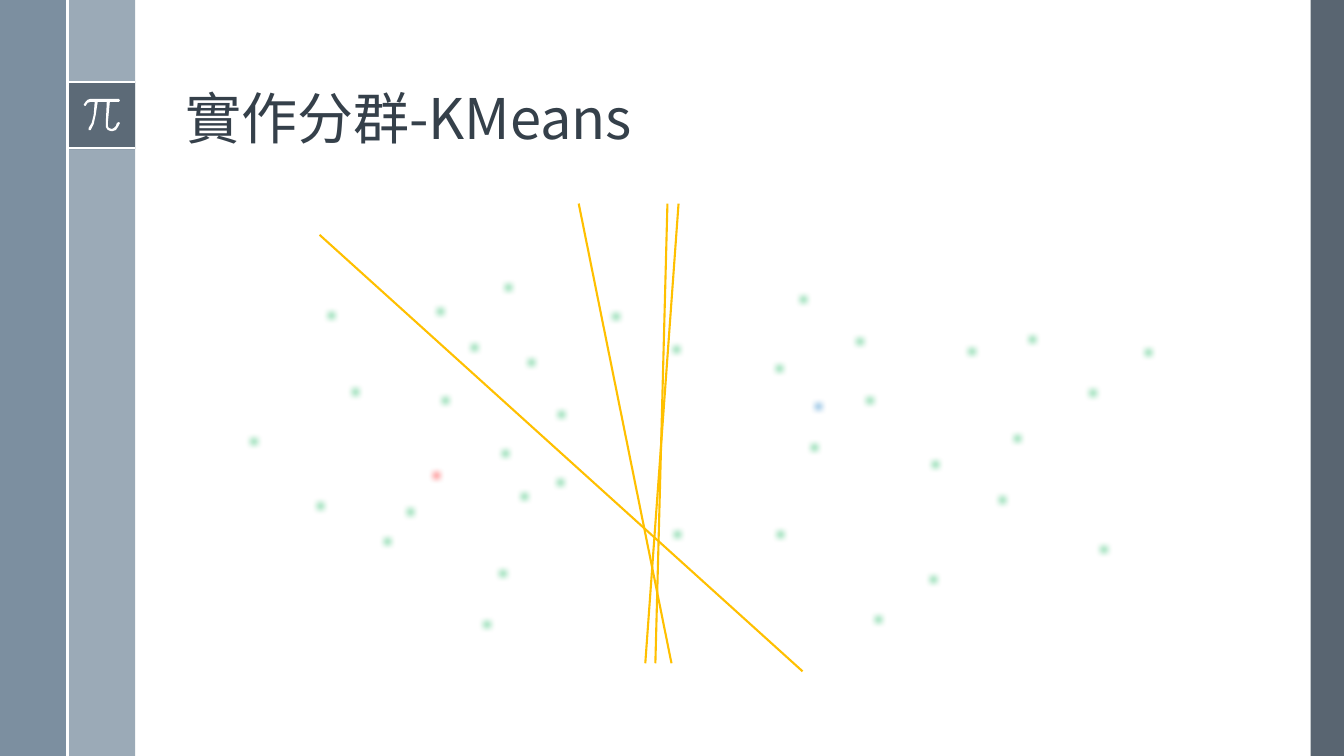
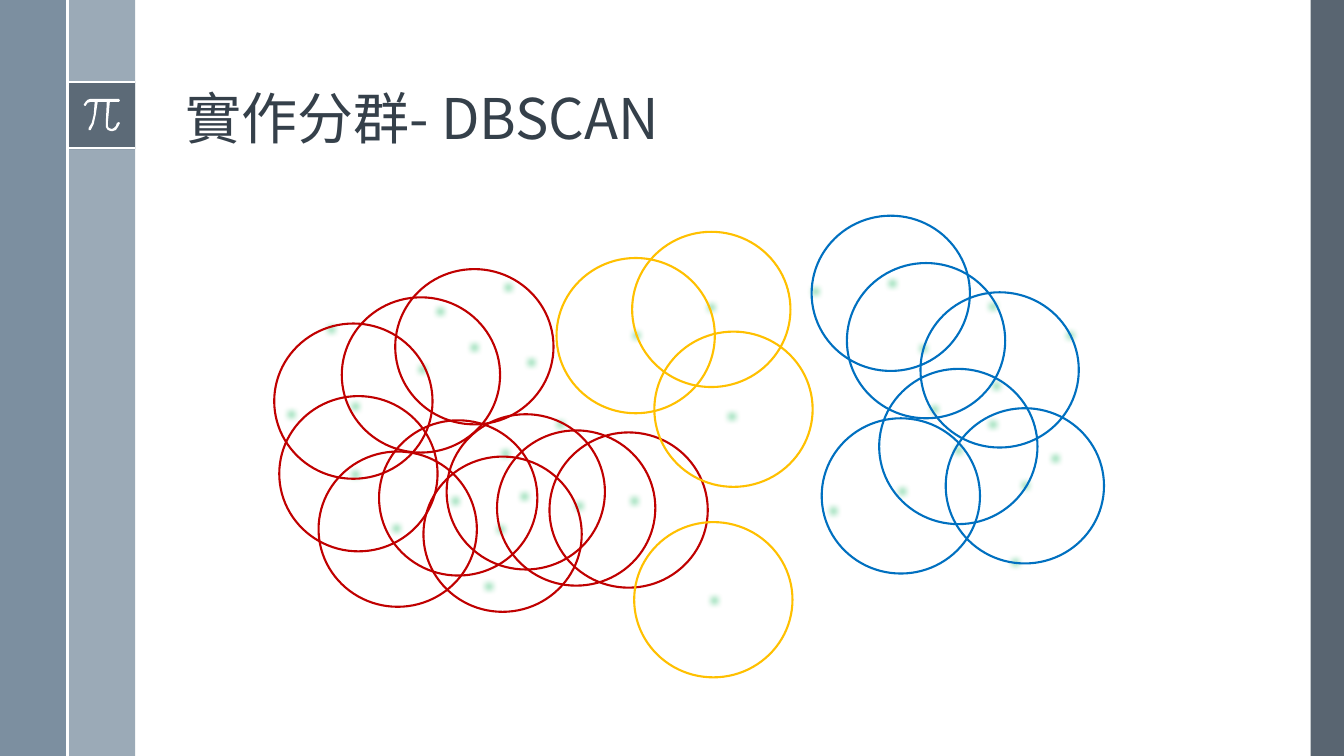
from lxml import etree
from pptx import Presentation, util as u
from pptx.dml.color import RGBColor
from pptx.enum import shapes, text
from pptx.oxml.ns import qn

SLATE = RGBColor(0x47, 0x55, 0x62)
STEEL = RGBColor(0x6A, 0x80, 0x93)
MIST = RGBColor(0x9B, 0xAA, 0xB7)
INK = RGBColor(0x35, 0x40, 0x4A)
WHITE = RGBColor(0xFF, 0xFF, 0xFF)
GREEN = RGBColor(0x00, 0xB0, 0x50)
RED = RGBColor(0xFF, 0x00, 0x00)
DARK_RED = RGBColor(0xC0, 0x00, 0x00)
BLUE = RGBColor(0x00, 0x70, 0xC0)
AMBER = RGBColor(0xFF, 0xC0, 0x00)

PI_OUTLINE = [
    (1.18, 0.98), (0.9, 0.98), (0.87, 0.99), (0.85, 1.01), (0.83, 1.04),
    (0.84, 1.05), (0.85, 1.05), (0.87, 1.02), (0.9, 1.01), (0.94, 1.01),
    (0.93, 1.14), (0.91, 1.22), (0.88, 1.27), (0.88, 1.29), (0.9, 1.29),
    (0.93, 1.23), (0.95, 1.14), (0.97, 1.01), (1.06, 1.01), (1.05, 1.22),
    (1.05, 1.26), (1.07, 1.29), (1.1, 1.3), (1.12, 1.3), (1.15, 1.29),
    (1.17, 1.26), (1.19, 1.22), (1.18, 1.21), (1.16, 1.22), (1.15, 1.25),
    (1.13, 1.27), (1.11, 1.28), (1.08, 1.27), (1.07, 1.25), (1.07, 1.22),
    (1.09, 1.01), (1.18, 1.01), (1.19, 1)]


class Deck:
    font = "Noto Sans CJK TC"
    title_size = u.Pt(40)
    line_width = u.Pt(1.5)
    dot_size = 0.24
    soft_edge = u.Pt(5)
    ring_width, ring_height = 1.57, 1.54
    band = 0.67

    def __init__(self):
        self.prs = Presentation()
        self.prs.slide_width = u.Inches(13.33)
        self.prs.slide_height = u.Inches(7.5)
        self.s = None

    def add_slide(self, title):
        self.s = self.prs.slides.add_slide(self.prs.slide_layouts[6])
        band = self.band
        self.rect(13, 0, 0.33, 7.5, SLATE, 90)
        self.rect(band, 0, band, 7.5, MIST)
        self.rect(0, 0, band, 7.5, STEEL, 88)
        self.rect(band, 0.81, band, band, SLATE, 75)
        for y in (0.81, 1.47):
            self.line(band, y, 2 * band, y, WHITE)
        self.outline(PI_OUTLINE, WHITE)
        self.line(band, 0, band, 7.5, WHITE)
        self.title(title)

    def paint(self, sp, fill=None, line=None):
        sp.shadow.inherit = False
        if fill is None:
            sp.fill.background()
        else:
            sp.fill.solid()
            sp.fill.fore_color.rgb = fill
        if line is None:
            sp.line.fill.background()
        else:
            sp.line.color.rgb = line
            sp.line.width = self.line_width

    def shape(self, kind, x, y, w, h, fill=None, line=None):
        sp = self.s.shapes.add_shape(kind, *map(u.Inches, (x, y, w, h)))
        self.paint(sp, fill, line)
        return sp

    def rect(self, x, y, w, h, fill, opacity=100):
        sp = self.shape(shapes.MSO_SHAPE.RECTANGLE, x, y, w, h, fill)
        if opacity < 100:
            color = sp._element.spPr.find(qn("a:solidFill"))[0]
            etree.SubElement(color, qn("a:alpha"), val=str(opacity * 1000))

    def line(self, x1, y1, x2, y2, color):
        sp = self.s.shapes.add_connector(
            shapes.MSO_CONNECTOR.STRAIGHT, *map(u.Inches, (x1, y1, x2, y2)))
        sp.line.color.rgb = color
        sp.line.width = self.line_width
        etree.SubElement(sp._element.spPr, qn("a:effectLst"))

    def outline(self, points, fill):
        start, *rest = [(u.Inches(x), u.Inches(y)) for x, y in points]
        builder = self.s.shapes.build_freeform(*start)
        builder.add_line_segments(rest, close=True)
        self.paint(builder.convert_to_shape(), fill)

    def title(self, words):
        box = self.s.shapes.add_textbox(
            *map(u.Inches, (1.74, 0.19, 10.7, 1.36)))
        tf = box.text_frame
        tf.word_wrap = True
        tf.vertical_anchor = text.MSO_ANCHOR.BOTTOM
        tf.text = words
        p = tf.paragraphs[0]
        p.line_spacing = 0.9
        r = p.runs[0]
        r.font.size = self.title_size
        r.font.name = self.font
        r.font.color.rgb = INK
        etree.SubElement(r.font._element, qn("a:ea"), typeface=self.font)

    def dots(self, color, places):
        for x, y in places:
            sp = self.shape(shapes.MSO_SHAPE.OVAL, x, y,
                            self.dot_size, self.dot_size, color)
            effects = sp._element.spPr.find(qn("a:effectLst"))
            etree.SubElement(effects, qn("a:softEdge"),
                             rad=str(int(self.soft_edge)))

    def rings(self, color, places):
        for x, y in places:
            self.shape(shapes.MSO_SHAPE.OVAL, x, y,
                       self.ring_width, self.ring_height, line=color)

    def save(self):
        self.prs.save("out.pptx")


KMEANS_POINTS = [
    (3.17, 3.01), (3.41, 3.77), (2.4, 4.26), (6.6, 5.18), (3.06, 4.9),
    (4.25, 2.97), (4.3, 3.85), (3.95, 4.96), (3.72, 5.25), (4.89, 4.38),
    (4.87, 5.57), (5.45, 3.99), (4.92, 2.73), (5.15, 3.48), (6.59, 3.35),
    (5.99, 3.02), (5.08, 4.81), (7.85, 2.85), (7.61, 3.54), (7.96, 4.32),
    (7.62, 5.18), (8.59, 6.03), (4.71, 6.08), (9.14, 5.63), (5.44, 4.67),
    (9.52, 3.37), (8.51, 3.85), (4.59, 3.33), (9.16, 4.49), (8.41, 3.27),
    (10.12, 3.25), (9.97, 4.23), (9.82, 4.84), (10.72, 3.78),
    (10.83, 5.33), (11.27, 3.38)]
KMEANS_BOUNDARIES = [
    (3.17, 2.33, 7.96, 6.66), (5.74, 2.02, 6.66, 6.58),
    (6.62, 2.02, 6.5, 6.58), (6.73, 2.02, 6.4, 6.58)]

DBSCAN_POINTS = [
    (3.17, 3.15), (3.41, 3.91), (2.77, 3.99), (6.17, 4.85), (3.41, 4.59),
    (4.25, 2.97), (4.07, 3.55), (4.4, 4.85), (3.81, 5.12), (4.89, 4.38),
    (4.85, 5.13), (5.44, 4.09), (4.92, 2.73), (5.15, 3.48), (6.94, 2.93),
    (6.19, 3.21), (5.08, 4.81), (7.97, 2.77), (7.14, 4.01), (6.97, 5.84),
    (8.15, 4.95), (8.73, 2.69), (4.73, 5.7), (8.83, 4.76), (5.63, 4.9),
    (9.76, 3.71), (9.15, 3.94), (4.59, 3.33), (9.39, 4.35), (9.04, 3.34),
    (9.73, 2.92), (10.35, 4.43), (10.05, 4.7), (9.73, 4.09),
    (9.95, 5.46), (10.5, 3.21)]
DBSCAN_CLUSTERS = [
    (DARK_RED, [(4.43, 4.11), (4.93, 4.27), (5.45, 4.29), (4.2, 4.53),
                (3.76, 4.17), (3.16, 4.48), (2.77, 3.93), (2.72, 3.21),
                (3.39, 2.95), (3.92, 2.67)]),
    (BLUE, [(8.72, 3.66), (9.38, 4.05), (8.15, 4.15), (9.13, 2.9),
            (8.4, 2.61), (8.05, 2.14)]),
    (AMBER, [(6.27, 2.3), (5.52, 2.56), (6.49, 3.29), (6.29, 5.18)])]

deck = Deck()

deck.add_slide("實作分群-KMeans")
deck.dots(GREEN, KMEANS_POINTS)
deck.dots(RED, [(4.21, 4.6)])
deck.dots(BLUE, [(8, 3.91)])
for ends in KMEANS_BOUNDARIES:
    deck.line(*ends, AMBER)

deck.add_slide("實作分群- DBSCAN")
deck.dots(GREEN, DBSCAN_POINTS)
for color, places in DBSCAN_CLUSTERS:
    deck.rings(color, places)

deck.save()
